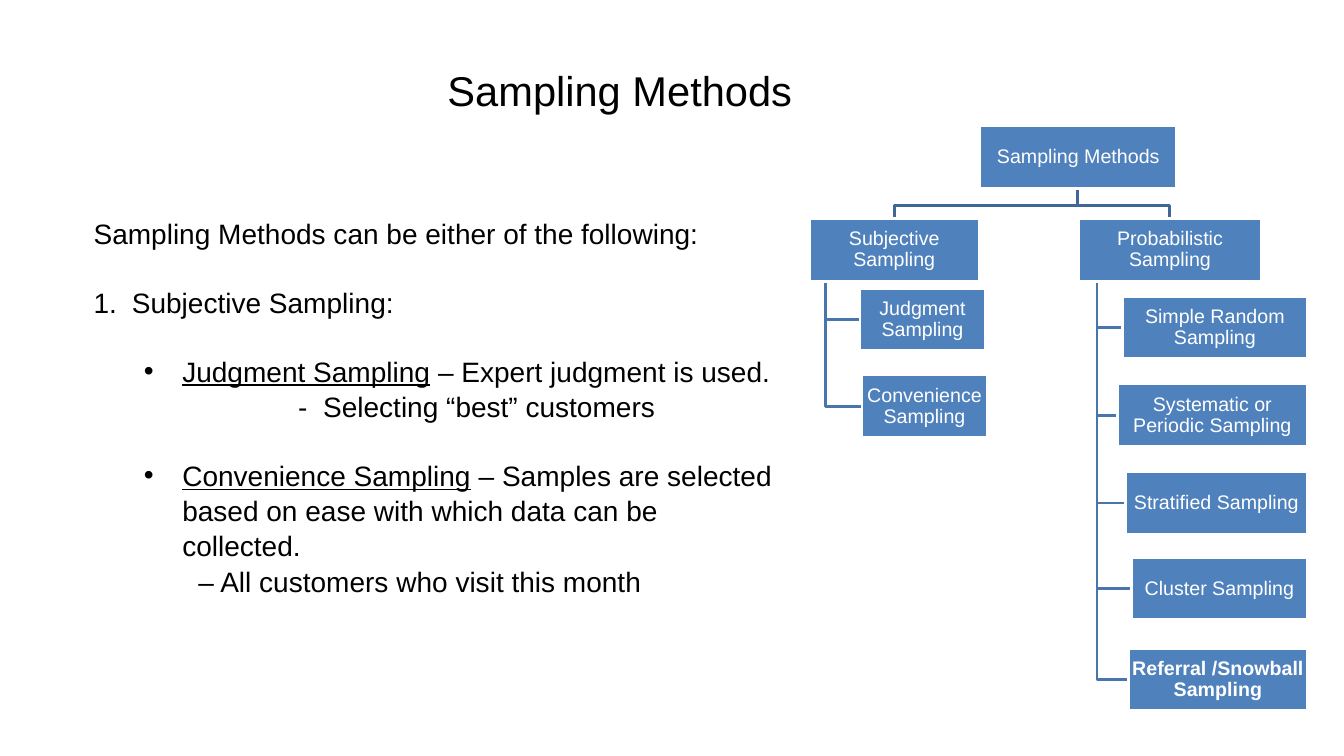
import pptx
import pptx.util
import pptx.dml.color
import pptx.enum.shapes
import pptx.enum.text
import lxml.etree

PX = 9144  # 100 px to the inch
FONT = "Arial"
BOX_HEIGHT = 62
DRAWING = "http://schemas.openxmlformats.org/drawingml/2006/main"


def color(value):
    return pptx.dml.color.RGBColor.from_string(value)


def add_path(points, line_color):
    """Draw an open elbow line through the points."""
    builder = slide.shapes.build_freeform(*points[0], scale=PX)
    builder.add_line_segments(points[1:], close=False)
    path = builder.convert_to_shape()
    path.shadow.inherit = False
    path.fill.background()
    path.line.color.rgb = color(line_color)
    path.line.width = pptx.util.Pt(2)


deck = pptx.Presentation()
deck.slide_width = 1333 * PX
deck.slide_height = 750 * PX
slide = deck.slides.add_slide(deck.slide_layouts[5])

title = slide.shapes.title
title.left, title.top, title.width, title.height = [n * PX for n in (17, 60, 1196, 58)]
title.text_frame.text = "Sampling Methods"
title.text_frame.auto_size = pptx.enum.text.MSO_AUTO_SIZE.NONE
title.text_frame.vertical_anchor = pptx.enum.text.MSO_ANCHOR.MIDDLE
para = title.text_frame.paragraphs[0]
para.alignment = pptx.enum.text.PP_ALIGN.CENTER
para.font.name = FONT
para.font.size = pptx.util.Pt(29.7)
para.font.color.rgb = color("000000")

# Hierarchy: (text, left, top, width)
root = ("Sampling Methods", 972, 125, 195)
branches = [
    (("Subjective Sampling", 803, 217, 168), [
        ("Judgment Sampling", 853, 286, 124),
        ("Convenience Sampling", 855, 372, 124),
    ]),
    (("Probabilistic Sampling", 1070, 217, 181), [
        ("Simple Random Sampling", 1113, 294, 184),
        ("Systematic or Periodic Sampling", 1108, 381, 189),
        ("Stratified Sampling", 1116, 468, 181),
        ("Cluster Sampling", 1122, 553, 175),
        ("Referral /Snowball Sampling", 1119, 643, 178),
    ]),
]

root_center = root[1] + root[3] // 2
root_bottom = root[2] + BOX_HEIGHT
boxes = [root]
for parent, children in branches:
    name, left, top, width = parent
    center = left + width // 2
    add_path([(root_center, root_bottom), (root_center, 204), (center, 204), (center, top)], "3F6797")
    trunk = left + width // 10
    for child in children:
        middle = child[2] + BOX_HEIGHT // 2
        add_path([(trunk, top + BOX_HEIGHT), (trunk, middle), (child[1], middle)], "4875AC")
    boxes += [parent, *children]

for name, left, top, width in boxes:
    box = slide.shapes.add_shape(pptx.enum.shapes.MSO_SHAPE.RECTANGLE,
                                 left * PX, top * PX, width * PX, BOX_HEIGHT * PX)
    box.shadow.inherit = False
    box.fill.solid()
    box.fill.fore_color.rgb = color("4F81BD")
    box.line.color.rgb = color("FFFFFF")
    box.line.width = pptx.util.Pt(2)
    frame = box.text_frame
    frame.text = name
    frame.word_wrap = True
    frame.vertical_anchor = pptx.enum.text.MSO_ANCHOR.MIDDLE
    frame.margin_left = frame.margin_right = frame.margin_top = frame.margin_bottom = PX
    para = frame.paragraphs[0]
    para.alignment = pptx.enum.text.PP_ALIGN.CENTER
    para.line_spacing = 0.9
    para.font.name = FONT
    para.font.size = pptx.util.Pt(14)
    para.font.bold = name.startswith("Referral")
    para.font.color.rgb = color("FFFFFF")

# Body: (underlined term, text, level, left indent, bullet, gap above in points)
body_lines = [
    ("", "Sampling Methods can be either of the following:", 0, 0, None, 0),
    ("", "Subjective Sampling:", 0, 38, "1.", 24),
    ("Judgment Sampling", " – Expert judgment is used.", 1, 88, "•", 24),
    ("", "-  Selecting “best” customers", 1, 203, None, 0),
    ("Convenience Sampling",
     " – Samples are selected based on ease with which data can be collected.", 1, 88, "•", 24),
    ("", "– All customers who visit this month", 1, 104, None, 0),
]
body = slide.shapes.add_textbox(83 * PX, 208 * PX, 703 * PX, 411 * PX)
frame = body.text_frame
frame.word_wrap = True
for index, (term, text, level, indent, bullet, gap) in enumerate(body_lines):
    para = frame.add_paragraph() if index else frame.paragraphs[0]
    para.level = level
    para.line_spacing = 1.05
    para.space_before = pptx.util.Pt(gap)
    for words in filter(None, (term, text)):
        span = para.add_run()
        span.text = words
        span.font.name = FONT
        span.font.size = pptx.util.Pt(20)
        span.font.color.rgb = color("000000")
        span.font.underline = words == term
    properties = para._p.get_or_add_pPr()
    properties.set("marL", str(indent * PX))
    properties.set("indent", str(-38 * PX if bullet else 0))
    if bullet == "1.":
        lxml.etree.SubElement(properties, f"{{{DRAWING}}}buAutoNum", type="arabicPeriod")
    elif bullet:
        lxml.etree.SubElement(properties, f"{{{DRAWING}}}buFont", typeface=FONT)
        lxml.etree.SubElement(properties, f"{{{DRAWING}}}buChar", char=bullet)

deck.save("out.pptx")
